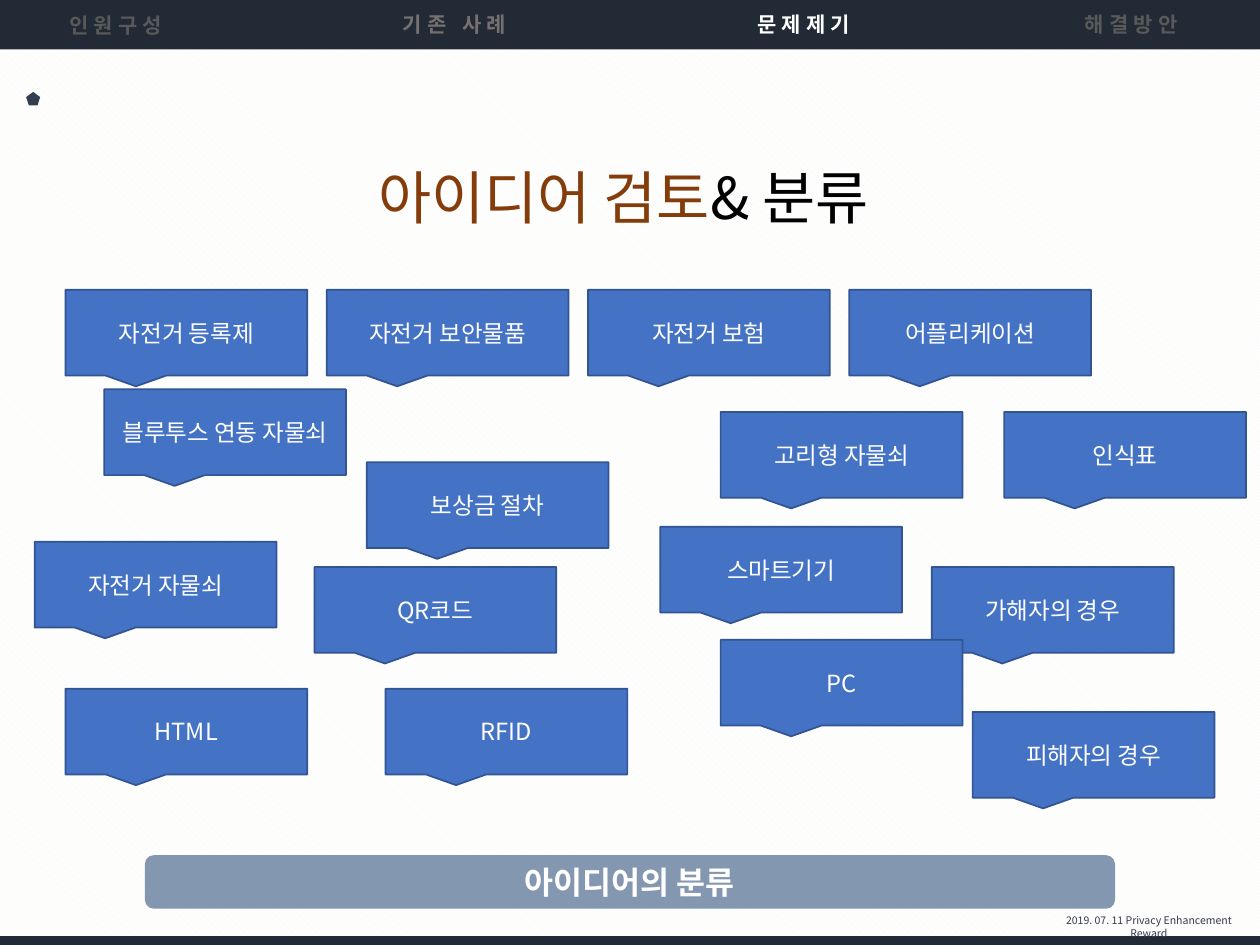
from lxml import etree
from pptx import Presentation
from pptx.dml.color import RGBColor
from pptx.enum.dml import MSO_PATTERN
from pptx.enum.shapes import MSO_SHAPE
from pptx.enum.text import MSO_ANCHOR, MSO_AUTO_SIZE, PP_ALIGN
from pptx.oxml.ns import qn
from pptx.util import Pt

RECT = MSO_SHAPE.RECTANGLE
ROUND = MSO_SHAPE.ROUNDED_RECTANGLE
PENTA = MSO_SHAPE.REGULAR_PENTAGON
CALL = MSO_SHAPE.RECTANGULAR_CALLOUT
LEFT, MID = PP_ALIGN.LEFT, PP_ALIGN.CENTER
GROW = MSO_AUTO_SIZE.SHAPE_TO_FIT_TEXT

FONT = "Noto Sans CJK KR"
WHITE = RGBColor(0xFF, 0xFF, 0xFF)
BLACK = RGBColor(0, 0, 0)
PAPER = RGBColor(0xF4, 0xF5, 0xF1)
NAVY = RGBColor(0x22, 0x2A, 0x35)
SLATE = RGBColor(0x33, 0x3F, 0x50)
STEEL = RGBColor(0x84, 0x97, 0xB0)
BLUE = RGBColor(0x44, 0x72, 0xC4)
EDGE = RGBColor(0x32, 0x54, 0x91)
BROWN = RGBColor(0x84, 0x3C, 0x0B)
GRAY = RGBColor(0x59, 0x59, 0x59)
WARM = RGBColor(0x76, 0x71, 0x71)
INK = RGBColor(0x36, 0x39, 0x4D)

prs = Presentation()
prs.slide_width, prs.slide_height = Pt(720), Pt(540)
slide = prs.slides.add_slide(prs.slide_layouts[6])

# Faint striped background
back = slide.background.fill
back.patterned()
back.pattern = MSO_PATTERN.LIGHT_DOWNWARD_DIAGONAL
back.fore_color.rgb = PAPER
back.back_color.rgb = WHITE


def add_form(kind, x, y, w, h, fill, line=None):
    form = slide.shapes.add_shape(kind, Pt(x), Pt(y), Pt(w), Pt(h))
    form.shadow.inherit = False
    form.fill.solid()
    form.fill.fore_color.rgb = fill
    if line is None:
        form.line.fill.background()
    else:
        form.line.color.rgb = line
        form.line.width = Pt(1)
    return form


def set_text(form, text, size, color, bold=False, align=MID, gap=0):
    para = form.text_frame.paragraphs[0]
    para.text = text
    para.alignment = align
    font = para.font
    font.name, font.size, font.bold = FONT, Pt(size), bold
    if color is not None:
        font.color.rgb = color
    props = para._p.pPr.find(qn("a:defRPr"))
    if gap:
        props.set("spc", str(gap * 100))
    asian = etree.Element(qn("a:ea"), typeface=FONT)
    props.find(qn("a:latin")).addnext(asian)
    return para


# Bars and marker
add_form(RECT, 0, 0, 720, 28.2, NAVY)
add_form(RECT, 0, 535, 720, 6.4, NAVY)
add_form(PENTA, 15, 52.5, 8, 7.8, SLATE)

# Section names in the top bar
tabs = [
    ("인원구성", 32.4, 3.6, 75, GRAY, LEFT),
    ("기존 사례", 223.2, 2.9, 83, WARM, LEFT),
    ("문제제기", 421.9, 2.9, 75, WHITE, MID),
    ("해결방안", 612.7, 2.9, 75, GRAY, LEFT),
]
for text, x, y, w, color, align in tabs:
    box = slide.shapes.add_textbox(Pt(x), Pt(y), Pt(w), Pt(21.8))
    box.text_frame.word_wrap = False
    box.text_frame.auto_size = GROW
    set_text(box, text, 12, color, True, align, gap=3)

# Footer
foot = slide.shapes.add_textbox(Pt(591), Pt(519), Pt(131), Pt(14.4))
foot.text_frame.word_wrap = True
foot.text_frame.auto_size = GROW
set_text(foot, "2019. 07. 11 Privacy Enhancement Reward", 6, INK)

# Summary banner
banner = add_form(ROUND, 82.8, 488.7, 554.4, 30.6, STEEL)
banner.text_frame.vertical_anchor = MSO_ANCHOR.MIDDLE
set_text(banner, "아이디어의 분류", 18, WHITE, True)

# Title in two colours
title = slide.shapes.add_textbox(Pt(49.7), Pt(75.6), Pt(620.6), Pt(78.5))
title.text_frame.word_wrap = True
title.text_frame.vertical_anchor = MSO_ANCHOR.MIDDLE
para = set_text(title, "아이디어 검토", 33, None)
para.line_spacing = 0.9
para.runs[0].font.color.rgb = BROWN
rest = para.add_run()
rest.text = "& 분류 "
rest.font.color.rgb = BLACK

# Idea callouts: an even top row, then scattered ones
row = ["자전거 등록제", "자전거 보안물품", "자전거 보험", "어플리케이션"]
ideas = [(text, 37.4 + 149.3 * i, 165.6) for i, text in enumerate(row)]
ideas += [
    ("인식표", 573.8, 235.4),
    ("블루투스 연동 자물쇠", 59.5, 222.5),
    ("피해자의 경우", 555.8, 406.8),
    ("가해자의 경우", 532.5, 324),
    ("보상금 절차", 209.5, 264.2),
    ("고리형 자물쇠", 411.8, 235.4),
    ("자전거 자물쇠", 19.8, 309.6),
    ("QR코드", 179.7, 324),
    ("RFID", 220.3, 393.5),
    ("HTML", 37.4, 393.5),
    ("스마트기기", 377.3, 301),
    ("PC", 411.8, 365.6),
]
for text, x, y in ideas:
    call = add_form(CALL, x, y, 138.2, 49, BLUE, EDGE)
    call.text_frame.vertical_anchor = MSO_ANCHOR.MIDDLE
    set_text(call, text, 13.5, WHITE)

prs.save("out.pptx")
